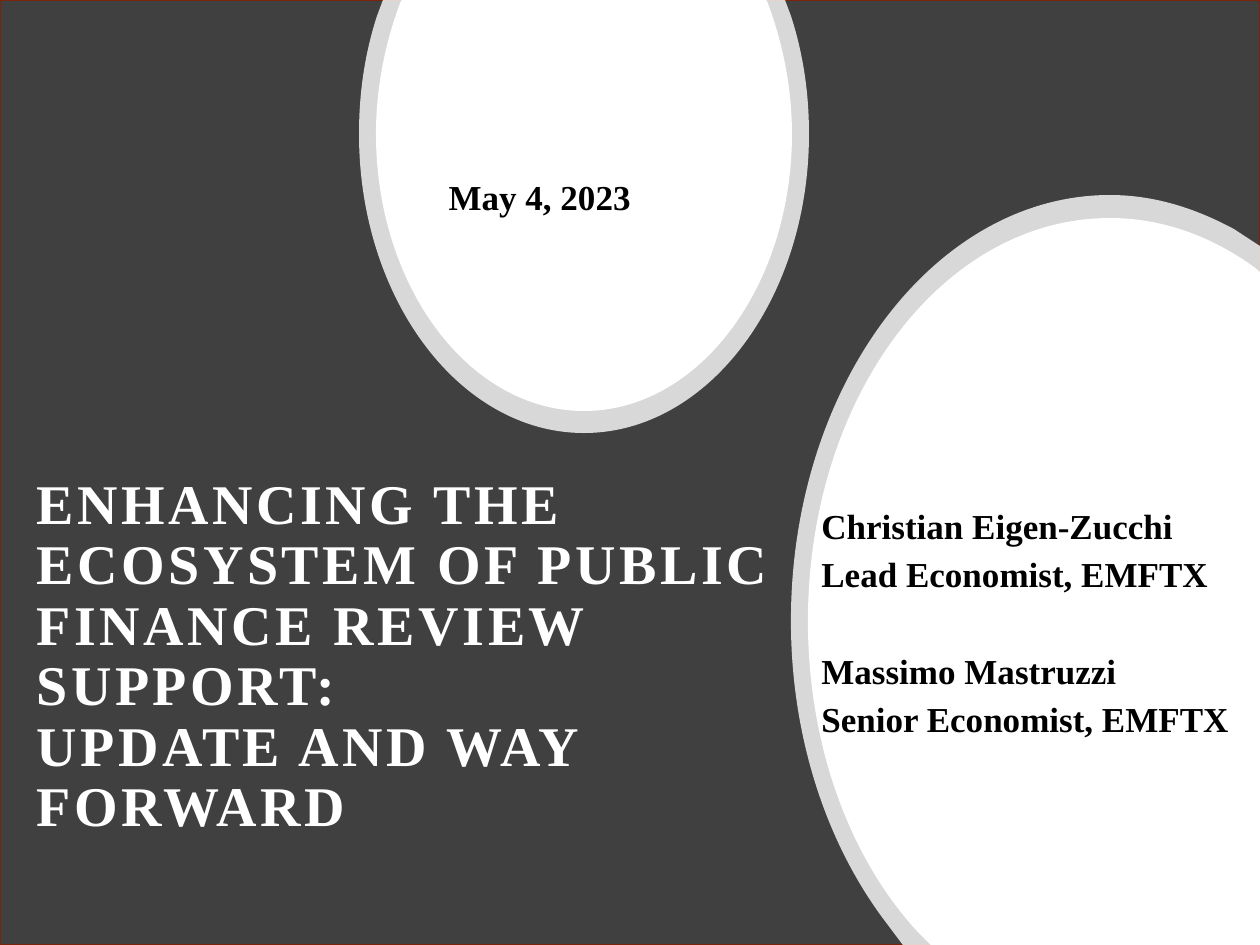
from pptx import Presentation
from pptx import util as u
from pptx.dml.color import RGBColor
from pptx.enum import shapes, text
from pptx.oxml.ns import qn
from lxml import etree

PX = 9144000 // 1260
W, H = 1260, 945
FONT = "Times New Roman"

TITLE = "ENHANCING THE ECOSYSTEM OF PUBLIC FINANCE REVIEW SUPPORT:\vUPDATE AND WAY FORWARD"
DATE = "May 4, 2023"
PRESENTERS = [
    ("Christian Eigen-Zucchi", "Lead Economist, EMFTX"),
    ("Massimo Mastruzzi", "Senior Economist, EMFTX"),
]
# Each outline is a list of steps: one point for a line, three for a curve.
DATE_RING = [
    [(383, 0)], [(785, 0)], [(791, 16)],
    [(803, 53), (809, 92), (809, 134)],
    [(809, 299), (708, 433), (584, 433)],
    [(460, 433), (359, 299), (359, 134)],
    [(359, 92), (365, 53), (377, 16)],
]
NAMES_RING = [
    [(1110, 195)], [(1154, 195), (1195, 208), (1234, 229)],
    [(1260, 246)], [(W, H)], [(903, H)], [(885, 921)],
    [(827, 844), (791, 738), (791, 621)],
    [(791, 386), (934, 195), (1110, 195)],
]
DATE_DISC = [
    [(402, 0)], [(766, 0)], [(767, 1)],
    [(782, 40), (792, 86), (792, 134)],
    [(792, 286), (699, 411), (584, 411)],
    [(469, 411), (376, 286), (376, 134)],
    [(376, 86), (386, 40), (401, 1)],
]
NAMES_DISC = [
    [(1110, 218)], [(1162, 218), (1211, 236), (1254, 267)],
    [(1260, 272)], [(W, H)], [(931, H)], [(917, 931)],
    [(850, 858), (808, 746), (808, 621)],
    [(808, 398), (942, 218), (1110, 218)],
]


def rgb(value):
    return RGBColor.from_string(value)


def paint(sp, color):
    sp.shadow.inherit = False
    sp.fill.solid()
    sp.fill.fore_color.rgb = rgb(color)


def add_outline(slide, steps, opacity=100):
    """Build the outline from its end points, then bend the curved steps."""
    ends = [step[-1] for step in steps]
    left, top = (min(values) for values in zip(*ends))
    builder = slide.shapes.build_freeform(*ends[0], scale=PX)
    builder.add_line_segments(ends[1:], close=True)
    sp = builder.convert_to_shape()
    path = sp._element.find(".//" + qn("a:path"))
    for step, node in zip(steps, list(path)):
        if len(step) == 3:
            curve = etree.Element(qn("a:cubicBezTo"))
            for x, y in step:
                etree.SubElement(curve, qn("a:pt"), x=str(x - left), y=str(y - top))
            path.replace(node, curve)
    paint(sp, "FFFFFF")
    sp.line.fill.background()
    if opacity < 100:
        color = sp._element.find(".//" + qn("a:srgbClr"))
        etree.SubElement(color, qn("a:alpha"), val=str(opacity * 1000))


def write(sp, box, lines, size, color):
    sp.left, sp.top, sp.width, sp.height = (v * PX for v in box)
    tf = sp.text_frame
    tf.text = "\n".join(lines)
    tf.word_wrap = True
    tf.auto_size = text.MSO_AUTO_SIZE.NONE
    tf.vertical_anchor = text.MSO_ANCHOR.MIDDLE
    for p in tf.paragraphs:
        p.alignment = text.PP_ALIGN.LEFT
        p.line_spacing = 0.9
        p.space_before = u.Pt(0)
        p.font.name, p.font.size, p.font.bold = FONT, u.Pt(size), True
        p.font.color.rgb = rgb(color)
    return tf


def main():
    prs = Presentation()
    prs.slide_width, prs.slide_height = W * PX, H * PX
    slide = prs.slides.add_slide(prs.slide_layouts[0])
    slide.background.fill.solid()
    slide.background.fill.fore_color.rgb = rgb("C00000")
    title, date = slide.placeholders
    tree = slide.shapes._spTree

    panel = slide.shapes.add_shape(shapes.MSO_SHAPE.RECTANGLE, 0, 0, W * PX, H * PX)
    paint(panel, "404040")
    panel.line.color.rgb = rgb("7A240B")
    panel.line.width = u.Pt(1)

    tree.append(title._element)  # in front of the panel
    tf = write(title, (24, 433, 782, 449), [TITLE], 32, "FFFFFF")
    for r in tf.paragraphs[0].runs:
        r.font._element.set("spc", "200")

    add_outline(slide, DATE_RING, 80)
    add_outline(slide, NAMES_RING, 80)
    add_outline(slide, DATE_DISC)
    tree.append(date._element)  # in front of its disc
    tf = write(date, (436, 49, 297, 247), [DATE], 20, "000000")
    tf.margin_top = 60 * PX
    add_outline(slide, NAMES_DISC)

    names = slide.shapes.add_textbox(0, 0, PX, PX)
    lines = [line for person in PRESENTERS for line in person]
    tf = write(names, (809, 433, 450, 383), lines, 20, "000000")
    for p in tf.paragraphs:
        p.space_after = u.Pt(6)
    tf.paragraphs[2].space_before = u.Pt(27.6)

    prs.save("out.pptx")


if __name__ == "__main__":
    main()
